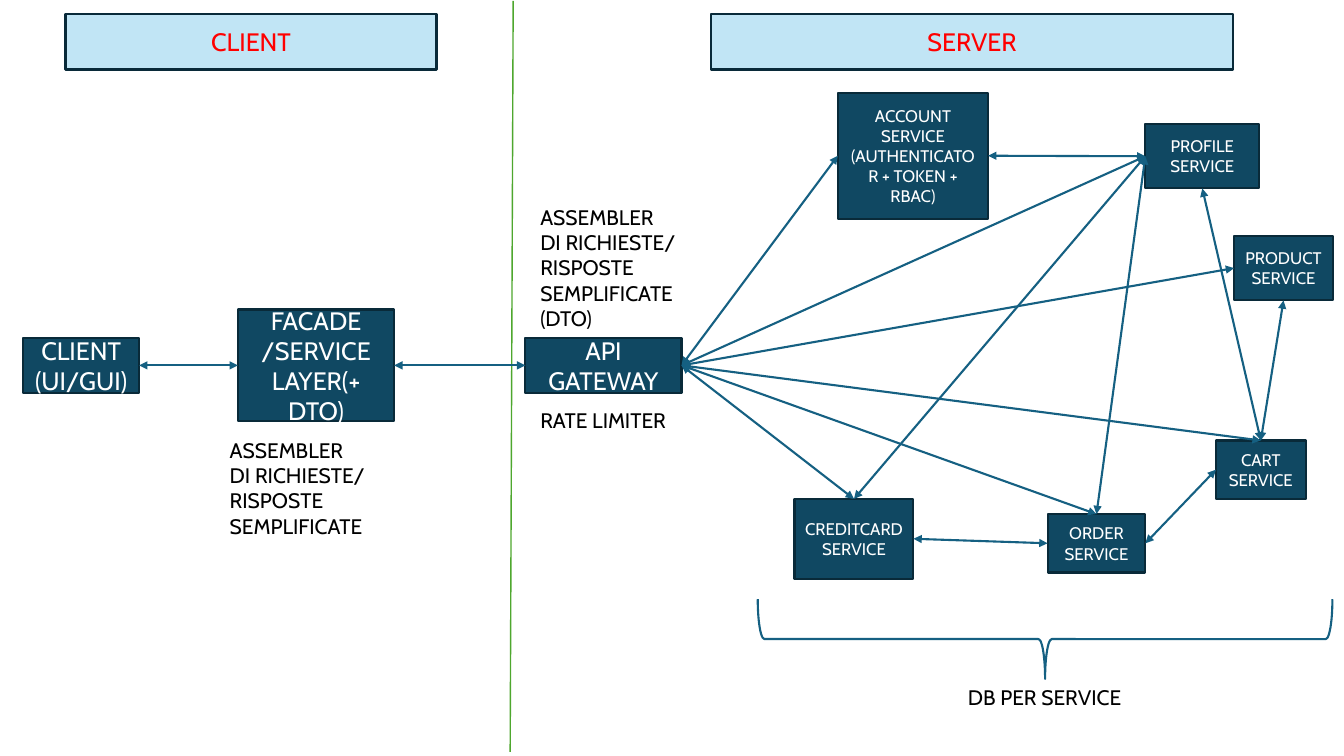
from dataclasses import dataclass

from lxml import etree
from pptx import Presentation
from pptx.dml.color import RGBColor
from pptx.enum.shapes import MSO_CONNECTOR, MSO_SHAPE
from pptx.enum.text import MSO_ANCHOR, MSO_AUTO_SIZE, PP_ALIGN
from pptx.oxml.ns import qn
from pptx.util import Pt

STRAIGHT = MSO_CONNECTOR.STRAIGHT
RECTANGLE, BRACE = MSO_SHAPE.RECTANGLE, MSO_SHAPE.RIGHT_BRACE
MIDDLE, TOP_ANCHOR = MSO_ANCHOR.MIDDLE, MSO_ANCHOR.TOP
CENTER, ALIGN_LEFT = PP_ALIGN.CENTER, PP_ALIGN.LEFT
GROW = MSO_AUTO_SIZE.SHAPE_TO_FIT_TEXT
TOP, LEFT, BOTTOM, RIGHT = range(4)  # connection sites of a rectangle
EMU_PER_PX = 9144  # 100 px to the inch


@dataclass(frozen=True)
class Theme:
    font: str = "Cabin"
    banner_fill: str = "C1E5F5"
    banner_text: str = "FF0000"
    box_fill: str = "104862"
    box_text: str = "FFFFFF"
    outline: str = "092A39"
    link: str = "156082"
    divider: str = "4EA72E"
    note_text: str = "000000"
    large: int = 18
    note: int = 15
    small: int = 12
    stroke: float = 1.5
    thin: float = 1


def px(*lengths):
    return [length * EMU_PER_PX for length in lengths]


class Diagram:
    def __init__(self, slide, theme):
        self.shapes = slide.shapes
        self.theme = theme

    def add_text(self, frame, paragraphs, size, color, align):
        frame.word_wrap = True
        for index, text in enumerate(paragraphs):
            paragraph = frame.add_paragraph() if index else frame.paragraphs[0]
            paragraph.alignment = align
            run = paragraph.add_run()
            run.text = text
            run.font.name = self.theme.font
            run.font.size = Pt(size)
            run.font.color.rgb = RGBColor.from_string(color)

    def stroke(self, line, color, width):
        line.color.rgb = RGBColor.from_string(color)
        line.width = Pt(width)

    def rectangle(self, bounds, text, size, fill, color):
        shape = self.shapes.add_shape(RECTANGLE, *px(*bounds))
        shape.shadow.inherit = False
        shape.fill.solid()
        shape.fill.fore_color.rgb = RGBColor.from_string(fill)
        self.stroke(shape.line, self.theme.outline, self.theme.stroke)
        shape.text_frame.vertical_anchor = MIDDLE
        self.add_text(shape.text_frame, [text], size, color, CENTER)
        return shape

    def banner(self, bounds, text):
        theme = self.theme
        return self.rectangle(bounds, text, theme.large, theme.banner_fill, theme.banner_text)

    def box(self, bounds, text, size):
        return self.rectangle(bounds, text, size, self.theme.box_fill, self.theme.box_text)

    def note(self, bounds, *paragraphs):
        frame = self.shapes.add_textbox(*px(*bounds)).text_frame
        frame.vertical_anchor = TOP_ANCHOR
        frame.auto_size = GROW
        self.add_text(frame, paragraphs, self.theme.note, self.theme.note_text, ALIGN_LEFT)

    def brace(self, bounds):
        shape = self.shapes.add_shape(BRACE, *px(*bounds))
        shape.rotation = 90
        shape.shadow.inherit = False
        shape.fill.background()
        self.stroke(shape.line, self.theme.link, self.theme.stroke)

    def line(self, ends, color, width):
        connector = self.shapes.add_connector(STRAIGHT, *px(*ends))
        self.stroke(connector.line, color, width)
        etree.SubElement(connector._element.spPr, qn("a:effectLst"))
        return connector

    def link(self, start, start_side, end, end_side):
        connector = self.line((0, 0, 0, 0), self.theme.link, self.theme.stroke)
        connector.begin_connect(start, start_side)
        connector.end_connect(end, end_side)
        outline = connector._element.spPr.find(qn("a:ln"))
        for arrowhead in ("a:headEnd", "a:tailEnd"):
            etree.SubElement(outline, qn(arrowhead), type="triangle")


def main():
    presentation = Presentation()
    presentation.slide_width, presentation.slide_height = px(1333, 750)
    slide = presentation.slides.add_slide(presentation.slide_layouts[6])
    theme = Theme()
    diagram = Diagram(slide, theme)

    # Client and server halves
    diagram.banner((65, 14, 368, 55), "CLIENT")
    diagram.banner((705, 14, 518, 55), "SERVER")
    diagram.line((509, 1, 506, 746), theme.divider, theme.thin)

    # Request chain
    client = diagram.box((23, 335, 115, 55), "CLIENT (UI/GUI)", theme.large)
    facade = diagram.box((236, 307, 155, 111), "FACADE /SERVICE LAYER(+ DTO)", theme.large)
    gateway = diagram.box((521, 335, 155, 55), "API GATEWAY", theme.large)

    # Services
    account = diagram.box((831, 92, 149, 125),
                          "ACCOUNT SERVICE (AUTHENTICATOR + TOKEN + RBAC)", theme.small)
    profile, product, cart, order, credit_card = (
        diagram.box(bounds, f"{name} SERVICE", theme.small)
        for name, bounds in (
            ("PROFILE", (1136, 123, 113, 64)),
            ("PRODUCT", (1224, 234, 98, 64)),
            ("CART", (1206, 437, 89, 58)),
            ("ORDER", (1039, 510, 97, 58)),
            ("CREDITCARD", (788, 495, 118, 79)),
        )
    )

    # Notes and the shared database rule
    request_lines = ("ASSEMBLER", "DI RICHIESTE/")
    diagram.note((218, 429, 201, 111), *request_lines, "RISPOSTE SEMPLIFICATE")
    diagram.note((526, 198, 179, 136), *request_lines, "RISPOSTE SEMPLIFICATE (DTO)")
    diagram.note((526, 399, 209, 35), "RATE LIMITER")
    diagram.brace((997, 349, 79, 570))
    diagram.note((950, 674, 201, 35), "DB PER SERVICE")

    # Links along the request chain
    diagram.link(client, RIGHT, facade, LEFT)
    diagram.link(facade, RIGHT, gateway, LEFT)

    # Links from the gateway to every service
    for service, side in ((profile, LEFT), (product, LEFT), (cart, TOP),
                          (order, TOP), (credit_card, TOP), (account, LEFT)):
        diagram.link(gateway, RIGHT, service, side)

    # Links between services
    for ends in (
        (account, RIGHT, profile, LEFT),
        (credit_card, TOP, profile, LEFT),
        (order, TOP, profile, LEFT),
        (cart, TOP, profile, BOTTOM),
        (cart, TOP, product, BOTTOM),
        (order, RIGHT, cart, LEFT),
        (credit_card, RIGHT, order, LEFT),
    ):
        diagram.link(*ends)

    presentation.save("out.pptx")


if __name__ == "__main__":
    main()
